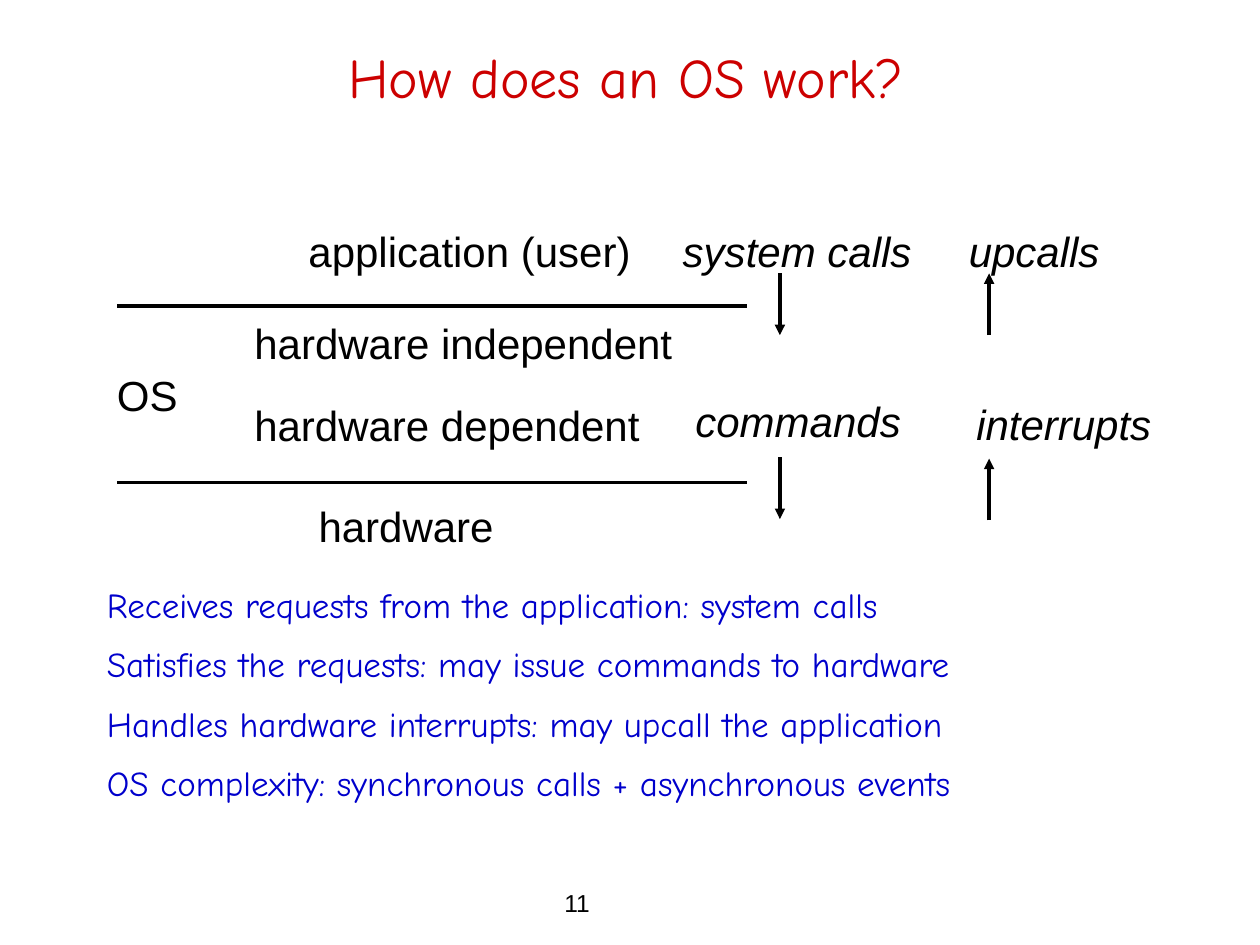
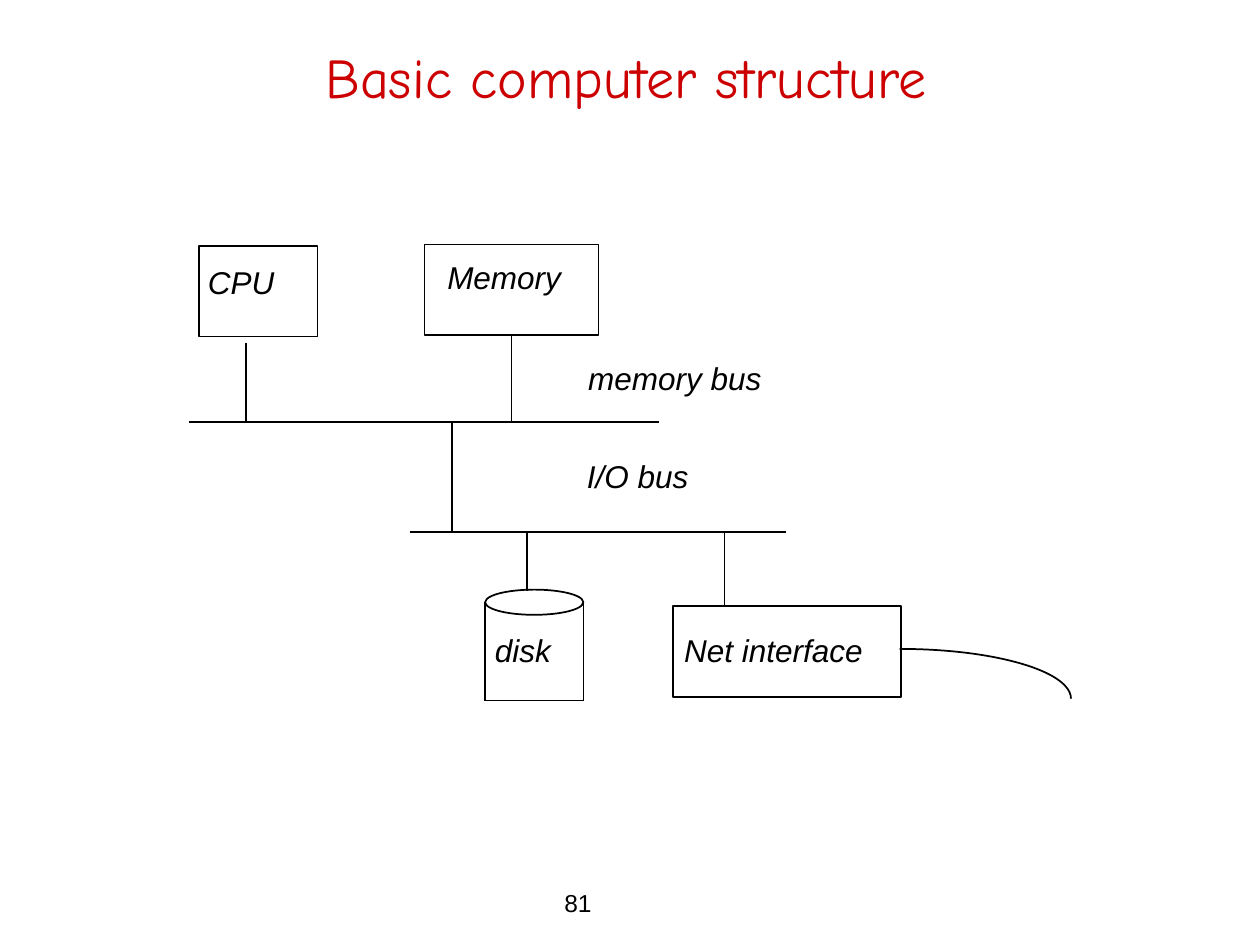
from dataclasses import dataclass

from lxml.etree import SubElement
from pptx import Presentation
from pptx.dml.color import RGBColor
from pptx.enum.shapes import MSO_CONNECTOR, MSO_SHAPE
from pptx.enum.text import MSO_ANCHOR, MSO_AUTO_SIZE, PP_ALIGN
from pptx.oxml.ns import qn
from pptx.slide import Slide
from pptx.util import Inches, Pt

RED = RGBColor(0xCC, 0x00, 0x00)
BLUE = RGBColor(0x00, 0x00, 0xCC)
BLACK = RGBColor(0x00, 0x00, 0x00)
WHITE = RGBColor(0xFF, 0xFF, 0xFF)
HAND = "Comic Neue"
SANS = "Arial"


def style(paragraph, name, size, colour, italic=False):
    paragraph.font.name = name
    paragraph.font.size = Pt(size)
    paragraph.font.color.rgb = colour
    paragraph.font.italic = italic


@dataclass
class Region:
    """A part of a slide; everything is placed from its left top corner, in inches."""
    slide: Slide
    left: float
    top: float
    text_size: int
    line_width: float

    def at(self, x, y):
        return Inches(self.left + x), Inches(self.top + y)

    def label(self, text, x, y, width, height, italic=False):
        box = self.slide.shapes.add_textbox(*self.at(x, y), Inches(width), Inches(height))
        frame = box.text_frame
        frame.word_wrap = True
        frame.text = text
        style(frame.paragraphs[0], SANS, self.text_size, BLACK, italic)

    def line(self, x1, y1, x2, y2, arrow=False):
        connector = self.slide.shapes.add_connector(
            MSO_CONNECTOR.STRAIGHT, *self.at(x1, y1), *self.at(x2, y2))
        connector.line.color.rgb = BLACK
        connector.line.width = Pt(self.line_width)
        if arrow:
            SubElement(connector.line._get_or_add_ln(), qn("a:tailEnd"), type="triangle")
        SubElement(connector._element.spPr, qn("a:effectLst"))
        return connector

    def shape(self, kind, x, y, width, height, filled=True):
        shape = self.slide.shapes.add_shape(kind, *self.at(x, y), Inches(width), Inches(height))
        shape.shadow.inherit = False
        if filled:
            shape.fill.solid()
            shape.fill.fore_color.rgb = WHITE
        else:
            shape.fill.background()
        shape.line.color.rgb = BLACK
        shape.line.width = Pt(self.line_width)
        return shape

    def device(self, text, x, y, width, indent, drop):
        """A box whose name sits near its left top corner."""
        box = self.shape(MSO_SHAPE.RECTANGLE, x, y, width, 0.72)
        frame = box.text_frame
        frame.word_wrap = True
        frame.vertical_anchor = MSO_ANCHOR.TOP
        frame.margin_left, frame.margin_top = Inches(indent), Inches(drop)
        frame.text = text
        frame.paragraphs[0].alignment = PP_ALIGN.LEFT
        style(frame.paragraphs[0], SANS, self.text_size, BLACK, italic=True)
        return box


def add_titled_slide(prs, heading, number):
    slide = prs.slides.add_slide(prs.slide_layouts[5])
    title = slide.shapes.title
    title.left, title.top = Inches(0.44), Inches(0.17)
    title.width, title.height = Inches(9.06), Inches(0.75)
    frame = title.text_frame
    frame.text = heading
    frame.auto_size = MSO_AUTO_SIZE.NONE
    frame.vertical_anchor = MSO_ANCHOR.BOTTOM
    frame.paragraphs[0].alignment = PP_ALIGN.CENTER
    style(frame.paragraphs[0], HAND, 32, RED)

    # Page number
    footer = Region(slide, 4.38, 7, text_size=14, line_width=1)
    footer.label(str(number), 0, 0, 1.09, 0.34)
    return slide


def add_layers(slide, left, top):
    layers = Region(slide, left, top, text_size=24, line_width=2)

    # Borders of the OS
    for border in (0.69, 2.09):
        layers.line(0.1, border, 5.1, border)

    # Layer names
    for name, x, y, width in (
        ("application (user)", 1.52, 0, 2.9),
        ("hardware independent", 1.09, 0.73, 3.65),
        ("OS", 0, 1.14, 0.8),
        ("hardware dependent", 1.09, 1.38, 3.4),
        ("hardware", 1.6, 2.18, 1.7),
    ):
        layers.label(name, x, y, width, 0.5)

    # Crossings between layers: name and arrow
    down_x, up_x, arrow_length = 5.36, 7.02, 0.49
    for name, x, y, width, arrow_top, goes_up in (
        ("system calls", 4.49, 0, 2.15, 0.43, False),
        ("upcalls", 6.76, 0, 1.35, 0.43, True),
        ("commands", 4.59, 1.35, 1.95, 1.89, False),
        ("interrupts", 6.82, 1.37, 1.7, 1.9, True),
    ):
        layers.label(name, x, y, width, 0.5, italic=True)
        arrow_bottom = arrow_top + arrow_length
        if goes_up:
            layers.line(up_x, arrow_bottom, up_x, arrow_top, arrow=True)
        else:
            layers.line(down_x, arrow_top, down_x, arrow_bottom, arrow=True)


def add_duties(slide, left, top, width, height):
    box = slide.shapes.add_textbox(Inches(left), Inches(top), Inches(width), Inches(height))
    frame = box.text_frame
    frame.word_wrap = True
    frame.text = "\n".join((
        "Receives requests from the application: system calls",
        "Satisfies the requests: may issue commands to hardware",
        "Handles hardware interrupts: may upcall the application",
        "OS complexity: synchronous calls + asynchronous events",
    ))
    for index, duty in enumerate(frame.paragraphs):
        duty.space_before = Pt(10 if index else 0)
        style(duty, HAND, 20, BLUE)


def add_disk(computer, x, y):
    width, bottom, rim = 0.78, 0.88, 0.1
    computer.shape(MSO_SHAPE.OVAL, x, y, width, 2 * rim)
    for side in (x, x + width):
        computer.line(side, y + rim, side, y + bottom)
    computer.line(x, y + bottom, x + width, y + bottom)
    computer.label("disk", x - 0.02, y + 0.28, 0.8, 0.4, italic=True)


def add_computer(slide, left, top):
    computer = Region(slide, left, top, text_size=18, line_width=1)
    memory_bus, io_bus = 1.41, 2.28

    # Buses
    computer.line(0, memory_bus, 3.73, memory_bus)
    computer.line(1.75, io_bus, 4.74, io_bus)
    computer.line(2.09, memory_bus, 2.09, io_bus)
    computer.label("memory bus", 3.07, 0.86, 1.7, 0.4, italic=True)
    computer.label("I/O bus", 3.06, 1.64, 1.15, 0.4, italic=True)

    # Devices on the memory bus
    computer.device("CPU", 0.08, 0.01, 0.94, indent=0.07, drop=0.14)
    computer.line(0.45, 0.78, 0.45, memory_bus)
    memory = computer.device("Memory", 1.87, 0, 1.38, indent=0.18, drop=0.11)
    computer.line(2.56, 0.72, 2.56, memory_bus).begin_connect(memory, 2)

    # Devices on the I/O bus
    add_disk(computer, 2.35, 2.74)
    computer.line(2.68, io_bus, 2.68, 2.75)
    computer.device("Net interface", 3.84, 2.87, 1.81, indent=0.09, drop=0.2)
    computer.line(4.25, io_bus, 4.25, 2.87)

    # Network cable
    computer.shape(MSO_SHAPE.ARC, 4.28, 3.21, 2.72, 0.79, filled=False)


def main():
    prs = Presentation()
    prs.slide_width, prs.slide_height = Inches(10), Inches(7.5)

    os_slide = add_titled_slide(prs, "How does an OS work?", 11)
    add_layers(os_slide, 0.83, 1.74)
    add_duties(os_slide, 0.75, 4.58, 8.5, 2.33)

    computer_slide = add_titled_slide(prs, "Basic computer structure", 81)
    add_computer(computer_slide, 1.5, 1.94)

    prs.save("out.pptx")


if __name__ == "__main__":
    main()
